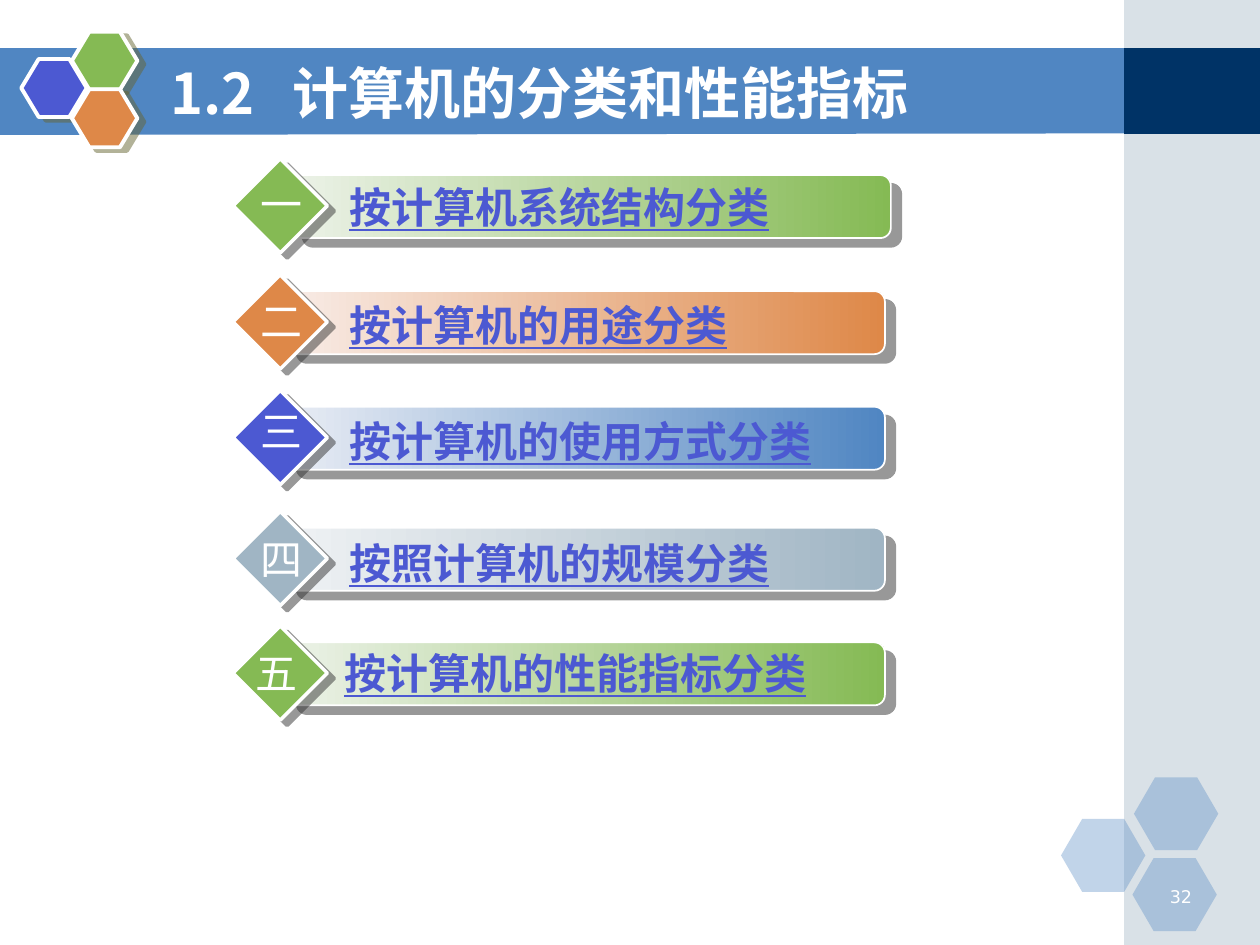
"""Build the section menu slide on classifying computers."""
from dataclasses import dataclass

import pptx
import pptx.dml.color
import pptx.enum.shapes
import pptx.enum.text
import pptx.oxml
import pptx.oxml.ns
import pptx.util

Cm = pptx.util.Cm
SHAPE = pptx.enum.shapes.MSO_SHAPE
ALIGN = pptx.enum.text.PP_ALIGN
ANCHOR = pptx.enum.text.MSO_ANCHOR
FIT = pptx.enum.text.MSO_AUTO_SIZE
NS = pptx.oxml.ns.nsdecls("a")
CJK = "Noto Sans CJK SC"
WHITE, GREEN, ORANGE = "FFFFFF", "85BA54", "DE8848"
BLUE, VIOLET, GREY, NAVY = "5086C2", "4C59D2", "A0B5C4", "003366"
Box = tuple[float, float, float, float]


@dataclass
class Shadow:
    color: str
    dist: float
    angle: int


@dataclass
class Hexagon:
    left: float
    top: float
    color: str


@dataclass
class Item:
    number: str
    text: str
    color: str
    pale: str
    bar_top: float
    text_top: float
    number_top: float
    text_width: float
    bar_left: float = 5.77
    text_left: float = 6.4
    number_left: float = 5.0


LOGO_SHADOW = Shadow("666633", 4.5, 27)
BAR_SHADOW = Shadow("333333", 7.8, 40)
DIAMOND_SHADOW = Shadow("333333", 5, 37)

PALE_HEXAGONS = [Hexagon(21.39, 16.51, BLUE), Hexagon(22.86, 15.67, BLUE),
                 Hexagon(22.83, 17.3, BLUE)]
LOGO_HEXAGONS = [Hexagon(0.43, 1.19, VIOLET), Hexagon(1.45, 0.64, GREEN),
                 Hexagon(1.45, 1.8, ORANGE)]
ITEMS = [
    Item("一", "按计算机系统结构分类", GREEN, "ECF2E8", 3.53, 3.53, 3.48, 9.91,
         bar_left=5.89),
    Item("二", "按计算机的用途分类", ORANGE, "F8ECE7", 5.87, 5.92, 5.84, 9.53),
    Item("三", "按计算机的使用方式分类", VIOLET, "E8ECF4", 8.2, 8.26, 8.05, 11.3),
    Item("四", "按照计算机的规模分类", GREY, "EFF2F4", 10.64, 10.72, 10.64, 11.1),
    Item("五", "按计算机的性能指标分类", GREEN, "ECF2E8", 12.95, 12.93, 12.93, 11.0,
         text_left=6.3, number_left=4.9),
]


def rgb(value: str) -> pptx.dml.color.RGBColor:
    return pptx.dml.color.RGBColor.from_string(value)


def set_all(obj, values: dict) -> None:
    for name, value in values.items():
        setattr(obj, name, value)


def place(box: Box) -> list:
    return [Cm(v) for v in box]


def fill_solid(sp, color: str, alpha: int = 100) -> None:
    sp.fill.solid()
    sp.fill.fore_color.rgb = rgb(color)
    if alpha < 100:
        clr = sp.fill._xPr.find(".//" + pptx.oxml.ns.qn("a:srgbClr"))
        clr.append(pptx.oxml.parse_xml(f'<a:alpha {NS} val="{alpha * 1000}"/>'))


def fill_gradient(sp, start: str, end: str) -> None:
    sp.fill.gradient()
    sp.fill.gradient_angle = 0
    for stop, color in zip(sp.fill.gradient_stops, (start, end)):
        stop.color.rgb = rgb(color)


def finish(sp, line_width: float = 0, shadow: Shadow | None = None) -> None:
    sp.shadow.inherit = False
    if line_width:
        sp.line.color.rgb = rgb(WHITE)
        sp.line.width = pptx.util.Pt(line_width)
    else:
        sp.line.fill.background()
    if shadow:
        effects = sp._element.spPr.find(pptx.oxml.ns.qn("a:effectLst"))
        effects.append(pptx.oxml.parse_xml(
            f'<a:outerShdw {NS} blurRad="0" dist="{int(shadow.dist * 12700)}" '
            f'dir="{shadow.angle * 60000}" algn="ctr" rotWithShape="0">'
            f'<a:srgbClr val="{shadow.color}"><a:alpha val="50000"/></a:srgbClr>'
            '</a:outerShdw>'))


def add_solid(s, kind, box: Box, color: str, alpha: int = 100, adj: float | None = None,
              line_width: float = 0, shadow: Shadow | None = None) -> None:
    sp = s.shapes.add_shape(kind, *place(box))
    if adj is not None:
        sp.adjustments[0] = adj
    fill_solid(sp, color, alpha)
    finish(sp, line_width, shadow)


def write(p, text: str, size: int, color: str, font: str = CJK, **style) -> None:
    r = p.add_run()
    r.text = text
    set_all(r.font, {"size": pptx.util.Pt(size), "name": font, **style})
    r.font.color.rgb = rgb(color)
    r._r.get_or_add_rPr().append(
        pptx.oxml.parse_xml(f'<a:ea {NS} typeface="{font}"/>'))


def add_text(s, box: Box, text: str, size: int, color: str, align=ALIGN.LEFT,
             frame: dict | None = None, **style) -> None:
    tf = s.shapes.add_textbox(*place(box)).text_frame
    set_all(tf, {"word_wrap": True, **(frame or {})})
    tf.paragraphs[0].alignment = align
    write(tf.paragraphs[0], text, size, color, **style)


def add_background(s) -> None:
    points = [(Cm(x), Cm(y)) for x, y in
              ((0, 0.97), (22.73, 0.97), (22.73, 2.69), (0, 2.72))]
    builder = s.shapes.build_freeform(*points[0])
    builder.add_line_segments(points[1:], close=True)
    band = builder.convert_to_shape()
    fill_solid(band, BLUE)
    finish(band)
    add_solid(s, SHAPE.RECTANGLE, (22.66, 0, 2.74, 19.05), GREY, alpha=40)
    add_solid(s, SHAPE.RECTANGLE, (22.66, 0.97, 2.74, 1.73), NAVY)
    for h in PALE_HEXAGONS:
        add_solid(s, SHAPE.HEXAGON, (h.left, h.top, 1.7, 1.47), h.color,
                  alpha=35, adj=0.29)
    for h in LOGO_HEXAGONS:
        add_solid(s, SHAPE.HEXAGON, (h.left, h.top, 1.32, 1.17), h.color,
                  adj=0.3, line_width=2.25, shadow=LOGO_SHADOW)


def add_title(s) -> None:
    sp = s.shapes.title
    s.shapes._spTree.append(sp._element)
    set_all(sp, dict(zip(("left", "top", "width", "height"),
                         place((3.18, 1.07, 18.62, 1.57)))))
    tf = sp.text_frame
    set_all(tf, {"vertical_anchor": ANCHOR.MIDDLE, "auto_size": FIT.NONE,
                 "word_wrap": True})
    p = tf.paragraphs[0]
    p.alignment = ALIGN.LEFT
    p._p.get_or_add_pPr().append(pptx.oxml.parse_xml(
        f'<a:tabLst {NS}><a:tab pos="{Cm(2.46)}" algn="l"/></a:tabLst>'))
    write(p, "1.2\t计算机的分类和性能指标", 32, WHITE, bold=True)


def add_item(s, item: Item) -> None:
    bar = s.shapes.add_shape(SHAPE.ROUNDED_RECTANGLE,
                             *place((item.bar_left, item.bar_top, 12.07, 1.27)))
    fill_gradient(bar, item.pale, BLUE if item.color == VIOLET else item.color)
    finish(bar, 1, BAR_SHADOW)
    add_solid(s, SHAPE.DIAMOND, (4.7, item.bar_top - 0.33, 1.9, 1.9), item.color,
              line_width=2, shadow=DIAMOND_SHADOW)
    add_text(s, (item.text_left, item.text_top, item.text_width, 1.27), item.text,
             24, VIOLET, frame={"margin_left": Cm(0.64), "auto_size": FIT.SHAPE_TO_FIT_TEXT},
             bold=True, underline=True)
    add_text(s, (item.number_left, item.number_top, 1.35, 1.27), item.number, 24, WHITE,
             frame={"word_wrap": False, "auto_size": FIT.SHAPE_TO_FIT_TEXT})


def main() -> None:
    prs = pptx.Presentation()
    set_all(prs, {"slide_width": Cm(25.4), "slide_height": Cm(19.05)})
    s = prs.slides.add_slide(prs.slide_layouts[5])
    add_background(s)
    add_text(s, (23.01, 17.73, 1.27, 0.64), "32", 10, WHITE, ALIGN.RIGHT,
             font="DejaVu Sans")
    add_title(s)
    for item in ITEMS:
        add_item(s, item)
    prs.save("out.pptx")


if __name__ == "__main__":
    main()
